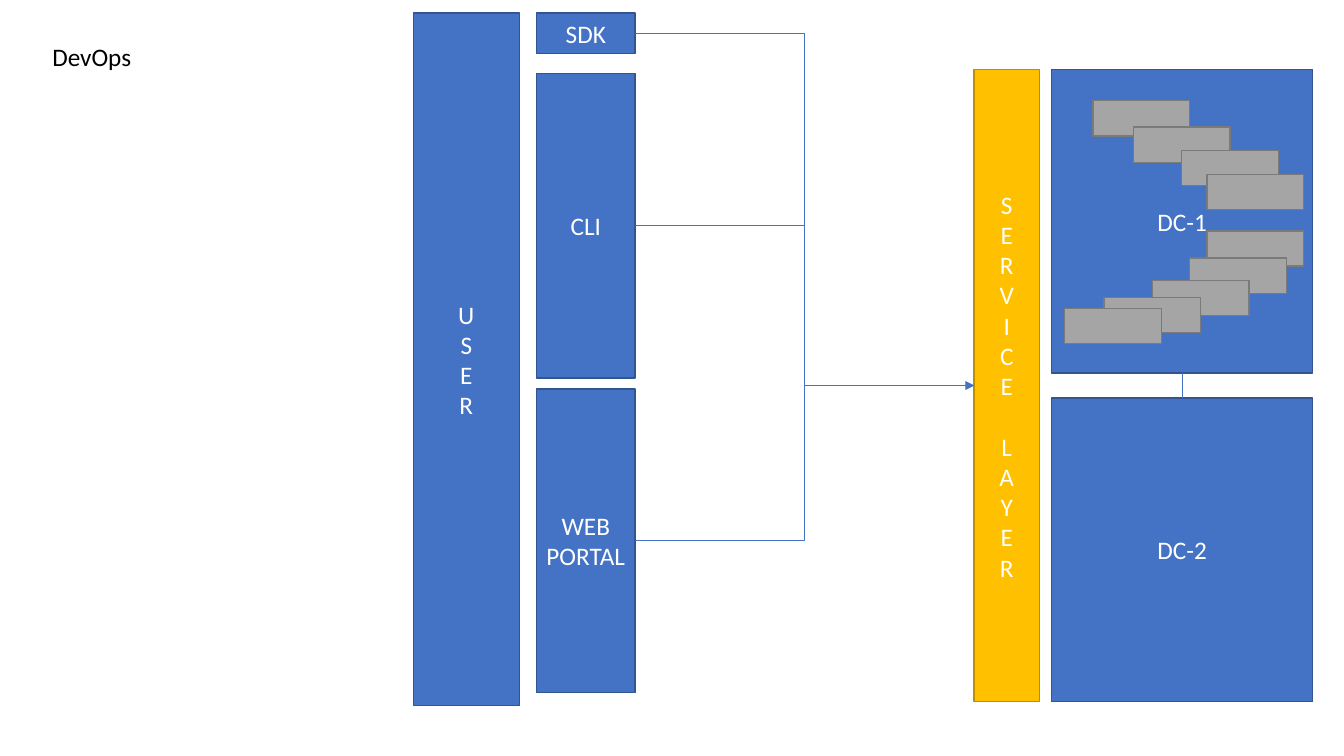
from pptx import Presentation
from pptx.dml.color import RGBColor
from pptx.enum.shapes import MSO_CONNECTOR, MSO_SHAPE
from pptx.enum.text import MSO_ANCHOR, PP_ALIGN
from pptx.oxml import parse_xml
from pptx.oxml.ns import nsdecls
from pptx.util import Inches, Pt

RECT = MSO_SHAPE.RECTANGLE
ELBOW, STRAIGHT = MSO_CONNECTOR.ELBOW, MSO_CONNECTOR.STRAIGHT
CENTER, LEFT = PP_ALIGN.CENTER, PP_ALIGN.LEFT
TOP, MIDDLE = MSO_ANCHOR.TOP, MSO_ANCHOR.MIDDLE
BOTTOM_SIDE, TOP_SIDE, LEFT_SIDE, RIGHT_SIDE = 2, 0, 1, 3

BLACK = RGBColor(0x00, 0x00, 0x00)
WHITE = RGBColor(0xFF, 0xFF, 0xFF)
BLUE = RGBColor(0x44, 0x72, 0xC4)
NAVY = RGBColor(0x32, 0x54, 0x91)
GOLD = RGBColor(0xFF, 0xC0, 0x00)
BROWN = RGBColor(0xBD, 0x8E, 0x00)
GRAY = RGBColor(0xA5, 0xA5, 0xA5)
DARK = RGBColor(0x7A, 0x7A, 0x7A)

TITLE = "DevOps"
USER = "USER"
SERVICE = ("SERVICE", "LAYER")
CLIENTS = [  # lines, top, height
    (["SDK"], 0.13, 0.4),
    (["CLI"], 0.73, 3.02),
    (["WEB", "PORTAL"], 3.86, 3.01),
]
CENTERS = [("DC-1", 0.69), ("DC-2", 3.95)]
NODES = [  # left, top
    (10.84, 1), (11.24, 1.26), (11.72, 1.49), (11.97, 1.73), (11.97, 2.29),
    (11.8, 2.56), (11.43, 2.78), (10.95, 2.95), (10.56, 3.06),
]

deck = Presentation()
deck.slide_width, deck.slide_height = Inches(13.33), Inches(7.5)
slide = deck.slides.add_slide(deck.slide_layouts[6])


def write(shape, lines, color=WHITE, align=CENTER, anchor=MIDDLE):
    frame = shape.text_frame
    frame.word_wrap = True
    frame.vertical_anchor = anchor
    frame.text = "\n".join(lines)
    for para in frame.paragraphs:
        para.alignment = align
        for run in para.runs:
            run.font.name, run.font.size = "Calibri", Pt(18)
            run.font.color.rgb = color


def box(left, top, width, height, lines=(), fill=BLUE, edge=NAVY):
    shape = slide.shapes.add_shape(
        RECT, Inches(left), Inches(top), Inches(width), Inches(height))
    shape.shadow.inherit = False
    shape.fill.solid()
    shape.fill.fore_color.rgb = fill
    shape.line.color.rgb = edge
    shape.line.width = Pt(1)
    if lines:
        write(shape, lines)
    return shape


def link(kind, start, side, end, target, arrow=False):
    line = slide.shapes.add_connector(kind, 0, 0, 0, 0)
    line.begin_connect(start, side)
    line.end_connect(end, target)
    line.line.color.rgb = BLUE
    line.line.width = Pt(0.5)
    if arrow:
        line.line._get_or_add_ln().append(
            parse_xml(f'<a:tailEnd {nsdecls("a")} type="triangle"/>'))
    line._element.spPr.append(parse_xml(f'<a:effectLst {nsdecls("a")}/>'))


title = slide.shapes.add_textbox(
    Inches(0.42), Inches(0.36), Inches(3.08), Inches(0.4))
write(title, [TITLE], color=BLACK, align=LEFT, anchor=TOP)

box(4.1, 0.13, 1.05, 6.87, USER)
clients = [box(5.32, top, 0.98, height, lines)
           for lines, top, height in CLIENTS]

service = box(9.66, 0.69, 0.65, 6.27, "".join(SERVICE), GOLD, BROWN)
second = service.text_frame.paragraphs[len(SERVICE[0])]
second.space_before = Pt(21.6)

first, last = [box(10.43, top, 2.59, 3.01, [name]) for name, top in CENTERS]
for left, top in NODES:
    box(left, top, 0.96, 0.35, fill=GRAY, edge=DARK)

link(STRAIGHT, first, BOTTOM_SIDE, last, TOP_SIDE)
for client in clients:
    link(ELBOW, client, RIGHT_SIDE, service, LEFT_SIDE, arrow=True)

deck.save("out.pptx")
